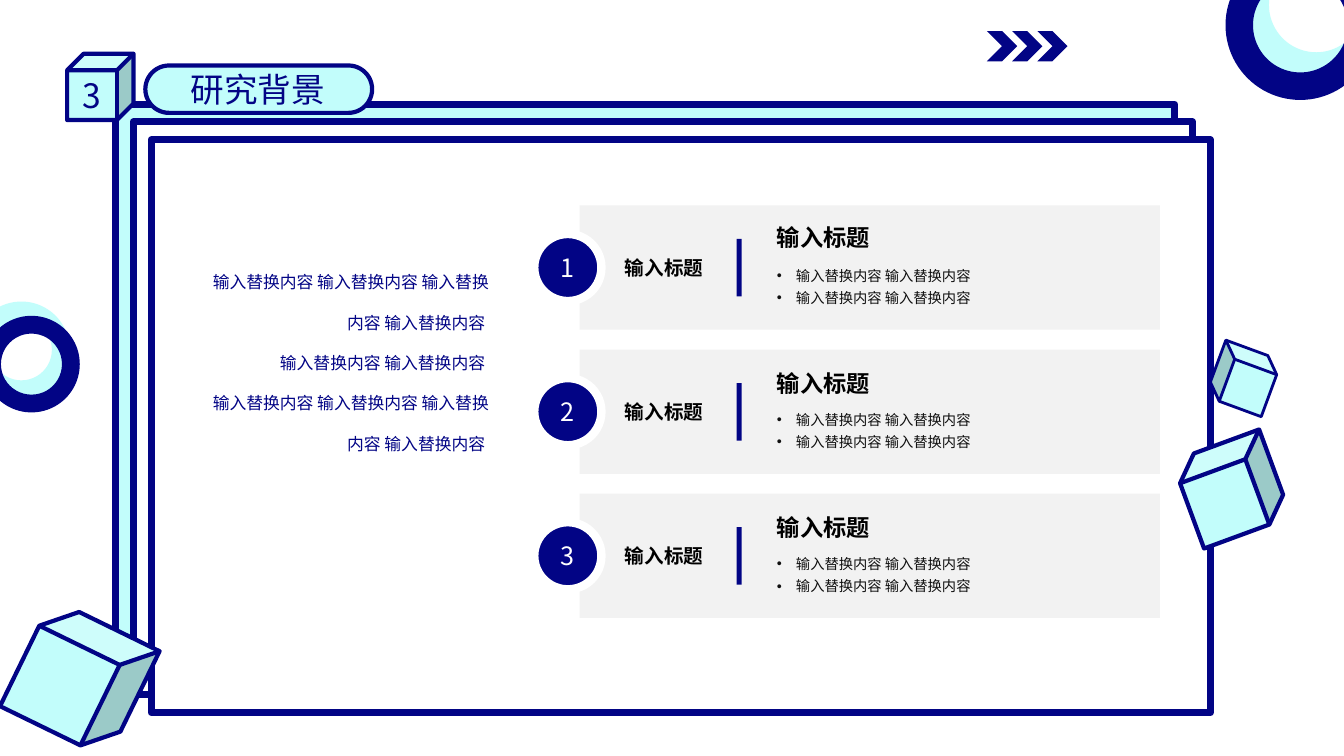
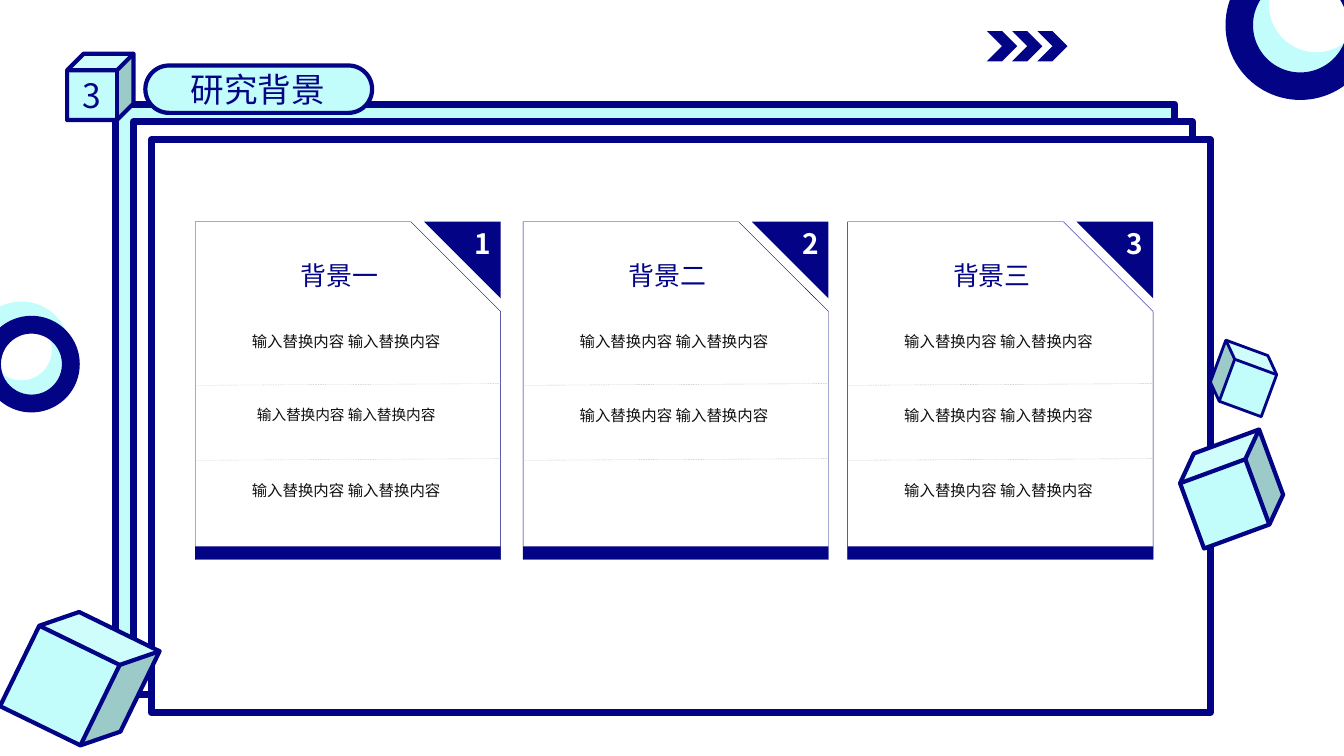
"""Build two research background slides that share one frame of stacked panels."""
from lxml import etree
from pptx import Presentation
from pptx.dml.color import RGBColor
from pptx.enum.dml import MSO_LINE
from pptx.enum.shapes import MSO_CONNECTOR, MSO_SHAPE
from pptx.enum.text import MSO_ANCHOR, PP_ALIGN
from pptx.oxml.ns import qn
from pptx.util import Pt

RECT, CUBE, DONUT = MSO_SHAPE.RECTANGLE, MSO_SHAPE.CUBE, MSO_SHAPE.DONUT
OVAL, CHEVRON = MSO_SHAPE.OVAL, MSO_SHAPE.CHEVRON
PILL, SNIP = MSO_SHAPE.ROUNDED_RECTANGLE, MSO_SHAPE.SNIP_1_RECTANGLE
STRAIGHT, DASH = MSO_CONNECTOR.STRAIGHT, MSO_LINE.DASH
TOP, MIDDLE = MSO_ANCHOR.TOP, MSO_ANCHOR.MIDDLE
LEFT, CENTER, RIGHT = PP_ALIGN.LEFT, PP_ALIGN.CENTER, PP_ALIGN.RIGHT

NAVY = RGBColor(0x02, 0x04, 0x85)
CYAN = RGBColor(0xC2, 0xFD, 0xFB)
WHITE = RGBColor(0xFF, 0xFF, 0xFF)
BLACK = RGBColor(0x00, 0x00, 0x00)
INK = RGBColor(0x10, 0x10, 0x10)
PALE = RGBColor(0xF2, 0xF2, 0xF2)
GREY = RGBColor(0xBF, 0xBF, 0xBF)
FONT = "Noto Sans CJK SC"
COLS = 160

prs = Presentation()
prs.slide_width, prs.slide_height = 12192000, 6858000
U = prs.slide_width // COLS


def add(s, kind, box, fill=None, line=None, width=0, rot=0, adj=None):
    """Add a shape, or a text box when kind is None, on the grid."""
    box = [round(v * U) for v in box]
    if kind is None:
        return s.shapes.add_textbox(*box)
    sp = s.shapes.add_shape(kind, *box)
    sp.shadow.inherit = False
    sp.rotation = rot
    sp.fill.solid()
    sp.fill.fore_color.rgb = fill
    if line is None:
        sp.line.fill.background()
    else:
        sp.line.color.rgb = line
        sp.line.width = Pt(width)
    if adj is not None:
        sp.adjustments[0] = adj
    return sp


def write(sp, lines, size, color, bold=False, bullet=False, frame={}, **para):
    """Fill a shape with paragraphs of one format."""
    tf = sp.text_frame
    for name, value in {"word_wrap": True, **frame}.items():
        setattr(tf, name, value)
    for i, text in enumerate(lines):
        p = tf.paragraphs[0] if i == 0 else tf.add_paragraph()
        for name, value in {"alignment": LEFT, **para}.items():
            setattr(p, name, value)
        if bullet:
            pPr = p._p.get_or_add_pPr()
            pPr.set("marL", str(round(2.28 * U)))
            pPr.set("indent", str(round(-2.28 * U)))
            etree.SubElement(pPr, qn("a:buFont")).set("typeface", "Arial")
            etree.SubElement(pPr, qn("a:buChar")).set("char", "•")
        r = p.add_run()
        r.text = text
        for name, value in {"size": Pt(size), "bold": bold, "name": FONT}.items():
            setattr(r.font, name, value)
        r.font.color.rgb = color
        etree.SubElement(r._r.get_or_add_rPr(), qn("a:ea")).set("typeface", FONT)


slides = [prs.slides.add_slide(prs.slide_layouts[6]) for _ in range(2)]
for s in slides:
    for i, fill in enumerate((CYAN, WHITE, WHITE)):
        add(s, RECT, (13.76 + 2.12 * i, 12.4 + 2.12 * i, 126.1, 68.2), fill, NAVY, 5)
    for x, y, side, rot, width, flip in (
        (141.1, 52.7, 11.04, 339.8, 3, False),
        (144.5, 41.5, 7.1, 20.2, 2, True),
        (2.4, 73.7, 14.2, 26, 3, False),
    ):
        sp = add(s, CUBE, (x, y, side, side), CYAN, NAVY, width, rot)
        if flip:
            sp._element.spPr.find(qn("a:xfrm")).set("flipH", "1")
    for x, y, side, fill in (
        (147.8, -8.3, 17.8, CYAN),
        (145.9, -5.9, 17.8, NAVY),
        (-3.2, 35.9, 11.5, CYAN),
        (-2, 37.6, 11.5, NAVY),
    ):
        add(s, DONUT, (x, y, side, side), fill, adj=0.184)
    sp = add(s, CUBE, (8, 6.4, 7.9, 7.9), CYAN, NAVY, 3)
    write(sp, ["3"], 24, NAVY, alignment=CENTER)
    add(s, PILL, (17.3, 7.8, 27, 5.64), CYAN, NAVY, 3, adj=0.5)
    sp = add(s, None, (21.5, 7.6, 19.2, 6))
    write(sp, ["研究背景"], 24, NAVY, frame={"word_wrap": False})
    for i in range(3):
        add(s, CHEVRON, (117.5 + 3 * i, 3.7, 3.6, 3.6), NAVY)

CONTENT = "输入替换内容 输入替换内容"
HEADING = "输入标题"
CENTRED = {"vertical_anchor": MIDDLE}

s = slides[0]
for i, spacing in enumerate((0.9, 1, 1)):
    y = 24.45 + 17.16 * i
    add(s, RECT, (69, y, 69.1, 14.8), PALE)
    sp = add(s, None, (73.2, y + 5.4, 12.7, 4))
    write(sp, [HEADING], 14, BLACK, True, frame=CENTRED)
    sp = add(s, OVAL, (63.6, y + 3.4, 8, 8), NAVY, WHITE, 6)
    write(sp, [str(i + 1)], 18, WHITE, alignment=CENTER)
    add(s, RECT, (87.7, y + 4, 0.6, 6.84), NAVY)
    sp = add(s, None, (91.3, y + 6.15, 40.2, 6.84))
    write(sp, [CONTENT] * 2, 10.2, INK, bullet=True, line_spacing=1.3)
    sp = add(s, None, (91.3, y + 1.83, 40.2, 4.3))
    write(sp, [HEADING], 16.6, BLACK, True, frame=CENTRED, line_spacing=spacing)

short = CONTENT + " "
sp = add(s, None, (24, 29.4, 35.4, 25.4))
write(sp, [short * 2, short, short * 2], 12, NAVY, alignment=RIGHT, line_spacing=2.0)

s = slides[1]
W, H, Y, CORNER = 36.36, 40.2, 26.4, 9.12
CARDS = (
    (23.25, "背景一", (11, 10.5, 11)),
    (62.28, "背景二", (11, 11)),
    (100.92, "背景三", (11, 11, 11)),
)
for n, (x, title, sizes) in enumerate(CARDS, 1):
    add(s, SNIP, (x, Y, W, H), WHITE, NAVY, 0.25, adj=0.294)
    add(s, RECT, (x, Y + H - 1.56, W, 1.56), NAVY)

    right, top, side = round((x + W) * U), round(Y * U), round(CORNER * U)
    fb = s.shapes.build_freeform(right, top)
    fb.add_line_segments([(right - side, top), (right, top + side)], close=True)
    sp = fb.convert_to_shape()
    sp.shadow.inherit = False
    sp.fill.solid()
    sp.fill.fore_color.rgb = NAVY
    sp.line.fill.background()
    write(sp, [str(n)], 20, WHITE, True, frame={"vertical_anchor": TOP}, alignment=RIGHT)

    sp = add(s, None, (x + 4.44, 30.36, 25.44, 4.8))
    write(sp, [title], 18.5, NAVY, frame=CENTRED, alignment=CENTER)
    for i, size in enumerate(sizes):
        sp = add(s, None, (x, 37.8 + 8.88 * i, W, 7.08))
        write(sp, [short], size, INK, frame={"margin_bottom": 0},
              alignment=CENTER, line_spacing=1.5)
    for y in (45.87, 54.8):
        ends = (x, y, x + W, y - 0.2)
        ln = s.shapes.add_connector(STRAIGHT, *[round(v * U) for v in ends])
        for name, value in {"width": Pt(0.25), "dash_style": DASH}.items():
            setattr(ln.line, name, value)
        ln.line.color.rgb = GREY
        etree.SubElement(ln._element.spPr, qn("a:effectLst"))

prs.save("out.pptx")
